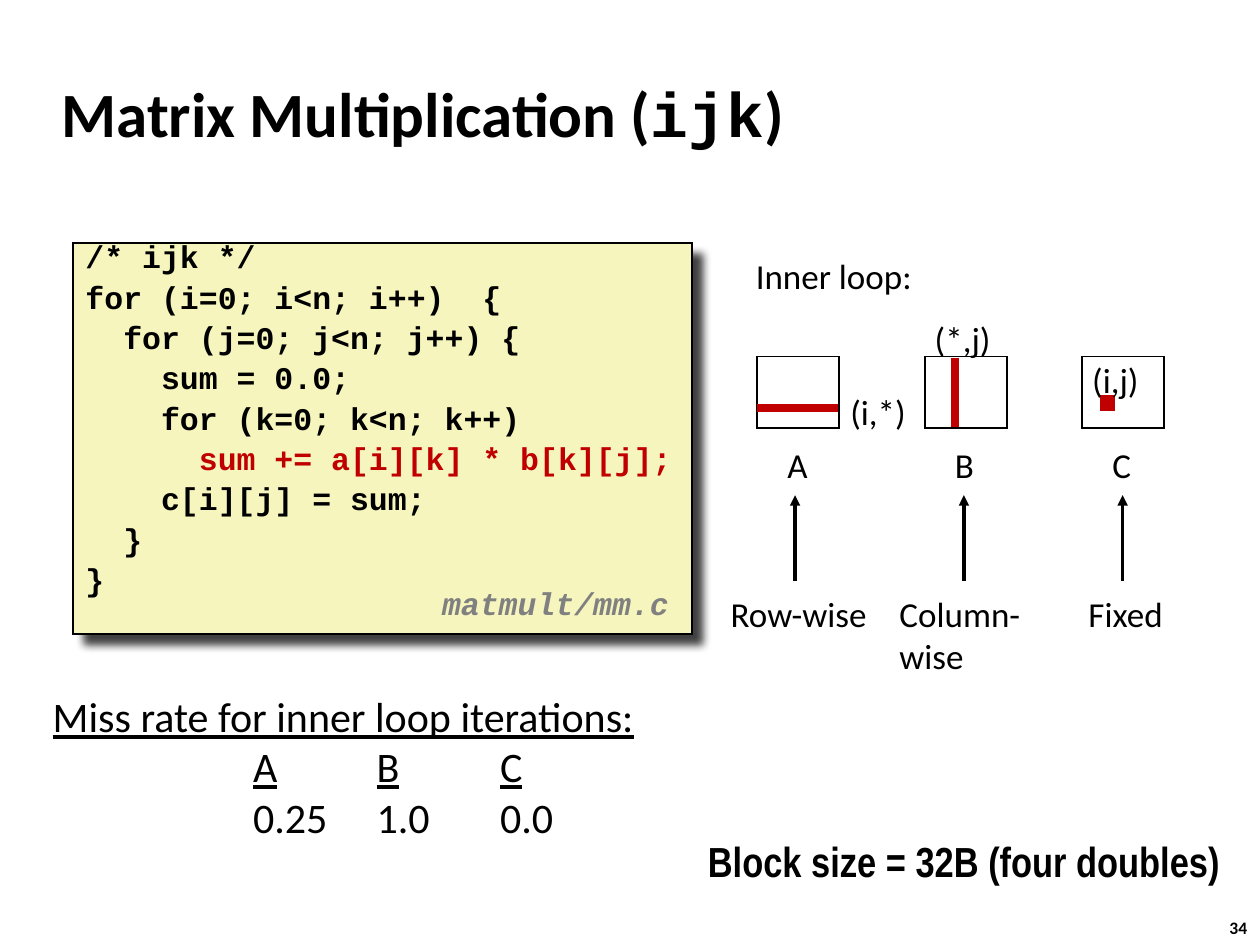
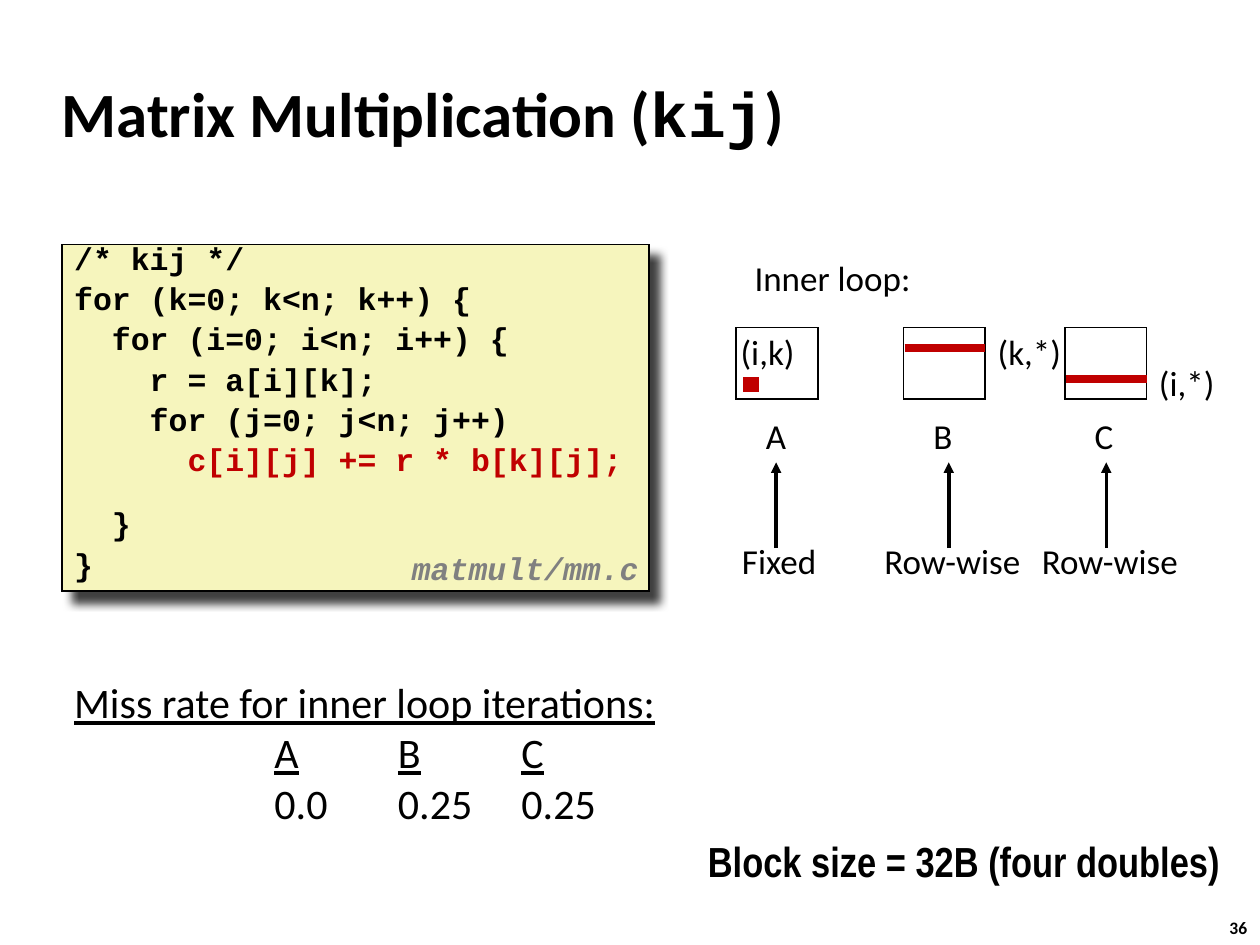
from lxml import etree
from pptx import Presentation
from pptx.dml.color import RGBColor
from pptx.enum.shapes import MSO_CONNECTOR, MSO_SHAPE
from pptx.enum.text import MSO_ANCHOR, PP_ALIGN
from pptx.oxml.ns import qn
from pptx.util import Inches, Pt

RECTANGLE = MSO_SHAPE.RECTANGLE
STRAIGHT = MSO_CONNECTOR.STRAIGHT
TOP, MIDDLE = MSO_ANCHOR.TOP, MSO_ANCHOR.MIDDLE
LEFT = PP_ALIGN.LEFT

COLORS = {
    "black": "000000",
    "white": "FFFFFF",
    "code_fill": "F6F5BD",
    "accent": "C00000",
    "spot": "FF0000",
    "file_name": "808080",
}
BODY, CODE, NARROW = "Calibri", "Courier New", "Arial Narrow"
CELL_WIDTH, CELL_HEIGHT = 0.65, 0.57
LABEL_HEIGHT = 0.43
ARROW_LENGTH = 0.68
TAB_STOPS = [1.59, 2.57, 3.55]
CODE_GAP = 9

SLIDES = [
    {
        "number": "34",
        "order": "ijk",
        "code_box": (0.58, 1.93, 4.91, 3.1),
        "code": [
            "/* ijk */",
            "for (i=0; i<n; i++)  {",
            "  for (j=0; j<n; j++) {",
            "    sum = 0.0;",
            "    for (k=0; k<n; k++)",
            "      sum += a[i][k] * b[k][j];",
            "    c[i][j] = sum;",
            "  }",
            "}",
        ],
        "inner_line": 5,
        "gap_after_inner": CODE_GAP,
        "file_at": (3.41, 4.61),
        "heading_at": (5.9, 1.97),
        "matrix_top": 2.83,
        "matrix_lefts": [6.01, 7.34, 8.59],
        "arrow_xs": [6.31, 7.65, 8.91],
        "arrow_top": 3.93,
        "access_top": 4.65,
        "access": [
            (5.7, 1.29, ["Row-wise"]),
            (7.04, 1.17, ["Column-", "wise"]),
            (8.54, 0.79, ["Fixed"]),
        ],
        "strokes": [(6.01, 3.24, 6.65, 3.24), (7.58, 2.84, 7.58, 3.39)],
        "spot": (8.76, 3.17),
        "indices": [
            (6.65, 3.05, 0.64, "(i,*)"),
            (7.32, 2.47, 0.65, "(*,j)"),
            (8.57, 2.8, 0.57, "(i,j)"),
        ],
        "miss_box": (0.32, 5.43, 5.55, 1.33),
        "miss_rates": ["0.25", "1.0", "0.0"],
    },
    {
        "number": "36",
        "order": "kij",
        "code_box": (0.49, 1.94, 4.66, 2.75),
        "code": [
            "/* kij */",
            "for (k=0; k<n; k++) {",
            "  for (i=0; i<n; i++) {",
            "    r = a[i][k];",
            "    for (j=0; j<n; j++)",
            "      c[i][j] += r * b[k][j];",
            "  }",
            "}",
        ],
        "inner_line": 5,
        "gap_after_inner": 22.5,
        "file_at": (3.17, 4.33),
        "heading_at": (5.89, 1.99),
        "matrix_top": 2.6,
        "matrix_lefts": [5.84, 7.17, 8.45],
        "arrow_xs": [6.16, 7.53, 8.78],
        "arrow_top": 3.67,
        "access_top": 4.23,
        "access": [
            (5.79, 0.79, ["Fixed"]),
            (6.92, 1.29, ["Row-wise"]),
            (8.17, 1.29, ["Row-wise"]),
        ],
        "strokes": [(7.18, 2.76, 7.82, 2.76), (8.46, 3.01, 9.1, 3.01)],
        "spot": (5.93, 3.02),
        "indices": [
            (5.78, 2.57, 0.63, "(i,k)"),
            (7.82, 2.57, 0.71, "(k,*)"),
            (9.1, 2.82, 0.64, "(i,*)"),
        ],
        "miss_box": (0.49, 5.32, 5.43, 1.34),
        "miss_rates": ["0.0", "0.25", "0.25"],
    },
]


def add_box(page, place, paragraphs=(), size=20, font=BODY, bold=False,
            wrap=True, fill=None, line="black", line_width=1):
    """Add a text box, or a rectangle if fill is given; spans are (text, overrides)."""
    place = [Inches(length) for length in place]
    if fill:
        box = page.shapes.add_shape(RECTANGLE, *place)
        box.shadow.inherit = False
        box.fill.solid()
        box.fill.fore_color.rgb = RGBColor.from_string(COLORS[fill])
        box.line.color.rgb = RGBColor.from_string(COLORS[line])
        box.line.width = Pt(line_width)
        etree.SubElement(box.line._get_or_add_ln(), qn("a:miter"), lim="800000")
    else:
        box = page.shapes.add_textbox(*place)
    frame = box.text_frame
    frame.word_wrap = wrap
    frame.vertical_anchor = TOP
    for index, spans in enumerate(paragraphs):
        para = frame.paragraphs[0] if index == 0 else frame.add_paragraph()
        para.alignment = LEFT
        for text, changes in spans:
            span = para.add_run()
            span.text = text
            span.font.size = Pt(size)
            span.font.name = changes.get("font", font)
            span.font.bold = bold
            span.font.italic = changes.get("italic", False)
            span.font.underline = changes.get("underline", False)
            color = COLORS[changes.get("color", "black")]
            span.font.color.rgb = RGBColor.from_string(color)
    return box


def add_line(page, ends, color, width, arrow=False):
    line = page.shapes.add_connector(STRAIGHT, *[Inches(end) for end in ends])
    line.line.color.rgb = RGBColor.from_string(COLORS[color])
    line.line.width = Pt(width)
    if arrow:
        etree.SubElement(line.line._get_or_add_ln(), qn("a:tailEnd"), type="triangle")
    etree.SubElement(line._element.spPr, qn("a:effectLst"))


deck = Presentation()
deck.slide_width, deck.slide_height = Inches(10), Inches(7.5)

for content in SLIDES:
    page = deck.slides.add_slide(deck.slide_layouts[6])

    # Title and page number
    title = add_box(page, (0.39, 0.48, 8.3, 0.83), [[
        ("Matrix Multiplication (", {}),
        (content["order"], {"font": CODE}),
        (")", {}),
    ]], size=36, bold=True)
    title.text_frame.vertical_anchor = MIDDLE
    add_box(page, (9.66, 7.23, 0.37, 0.27), [[(content["number"], {})]],
            size=10, bold=True, wrap=False)

    # Code panel
    listing = []
    for index, code in enumerate(content["code"]):
        inner = index == content["inner_line"]
        listing.append([(code, {"color": "accent" if inner else "black"})])
    panel = add_box(page, content["code_box"], listing, size=18, font=CODE,
                    bold=True, fill="code_fill")
    panel.text_frame.margin_top = Inches(0.05)
    for index, para in enumerate(panel.text_frame.paragraphs):
        para.line_spacing = 0.65
        if index == content["inner_line"] + 1:
            para.space_before = Pt(content["gap_after_inner"])
        elif index:
            para.space_before = Pt(CODE_GAP)
    effects = panel._element.spPr.find(qn("a:effectLst"))
    shadow = etree.SubElement(effects, qn("a:outerShdw"), blurRad=str(Pt(5)),
                              dist=str(Pt(8.5)), dir="2700000", algn="tl",
                              rotWithShape="0")
    shade = etree.SubElement(shadow, qn("a:srgbClr"), val=COLORS["black"])
    etree.SubElement(shade, qn("a:alpha"), val="75000")
    file_name = add_box(page, (*content["file_at"], 2.08, 0.39),
                        [[("matmult/mm.c", {"color": "file_name", "italic": True})]],
                        size=18, font=CODE, bold=True, wrap=False)
    file_name.text_frame.paragraphs[0].line_spacing = 0.94

    # Matrices and how the inner loop reads them
    add_box(page, (*content["heading_at"], 1.45, LABEL_HEIGHT), [[("Inner loop:", {})]])
    top, arrow_top = content["matrix_top"], content["arrow_top"]
    for name, left, arrow_x, (access_left, access_width, words) in zip(
            "ABC", content["matrix_lefts"], content["arrow_xs"], content["access"]):
        add_box(page, (left, top, CELL_WIDTH, CELL_HEIGHT), fill="white")
        add_box(page, (left + 0.14, top + 0.64, 0.36, LABEL_HEIGHT),
                [[(name, {})]], wrap=False)
        add_line(page, (arrow_x, arrow_top + ARROW_LENGTH, arrow_x, arrow_top),
                 "black", 2, arrow=True)
        add_box(page, (access_left, content["access_top"], access_width,
                       LABEL_HEIGHT + 0.34 * (len(words) - 1)),
                [[(word, {})] for word in words], wrap=False)
    for ends in content["strokes"]:
        add_line(page, ends, "accent", 4.5)
    add_box(page, (*content["spot"], 0.06, 0.06), fill="spot", line="accent", line_width=4.5)
    for left, index_top, width, text in content["indices"]:
        add_box(page, (left, index_top, width, LABEL_HEIGHT), [[(text, {})]], wrap=False)

    # Miss rates, set out with tab stops
    names = []
    for name in "ABC":
        names += [("\t", {}), (name, {"underline": True})]
    rates = [("\t" + rate, {}) for rate in content["miss_rates"]]
    heading = [("Miss rate for inner loop iterations:", {"underline": True})]
    miss = add_box(page, content["miss_box"], [heading, names, rates], size=24)
    for para in miss.text_frame.paragraphs[1:]:
        tabs = etree.SubElement(para._p.get_or_add_pPr(), qn("a:tabLst"))
        for stop in TAB_STOPS:
            etree.SubElement(tabs, qn("a:tab"), pos=str(Inches(stop)), algn="l")

    add_box(page, (5.52, 6.58, 4.4, 0.5), [[("Block size = 32B (four doubles)", {})]],
            size=24, font=NARROW, bold=True)

deck.save("out.pptx")
